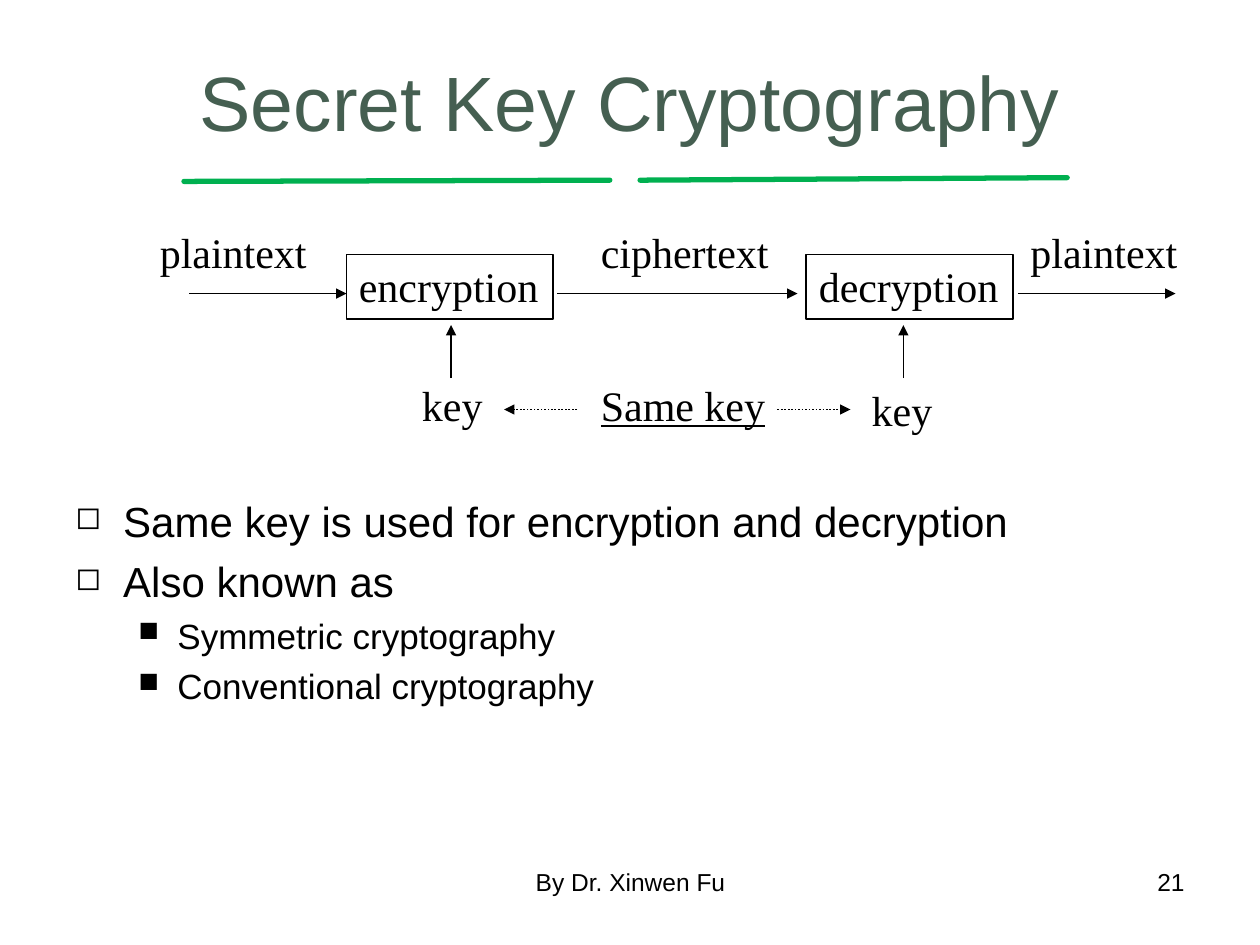
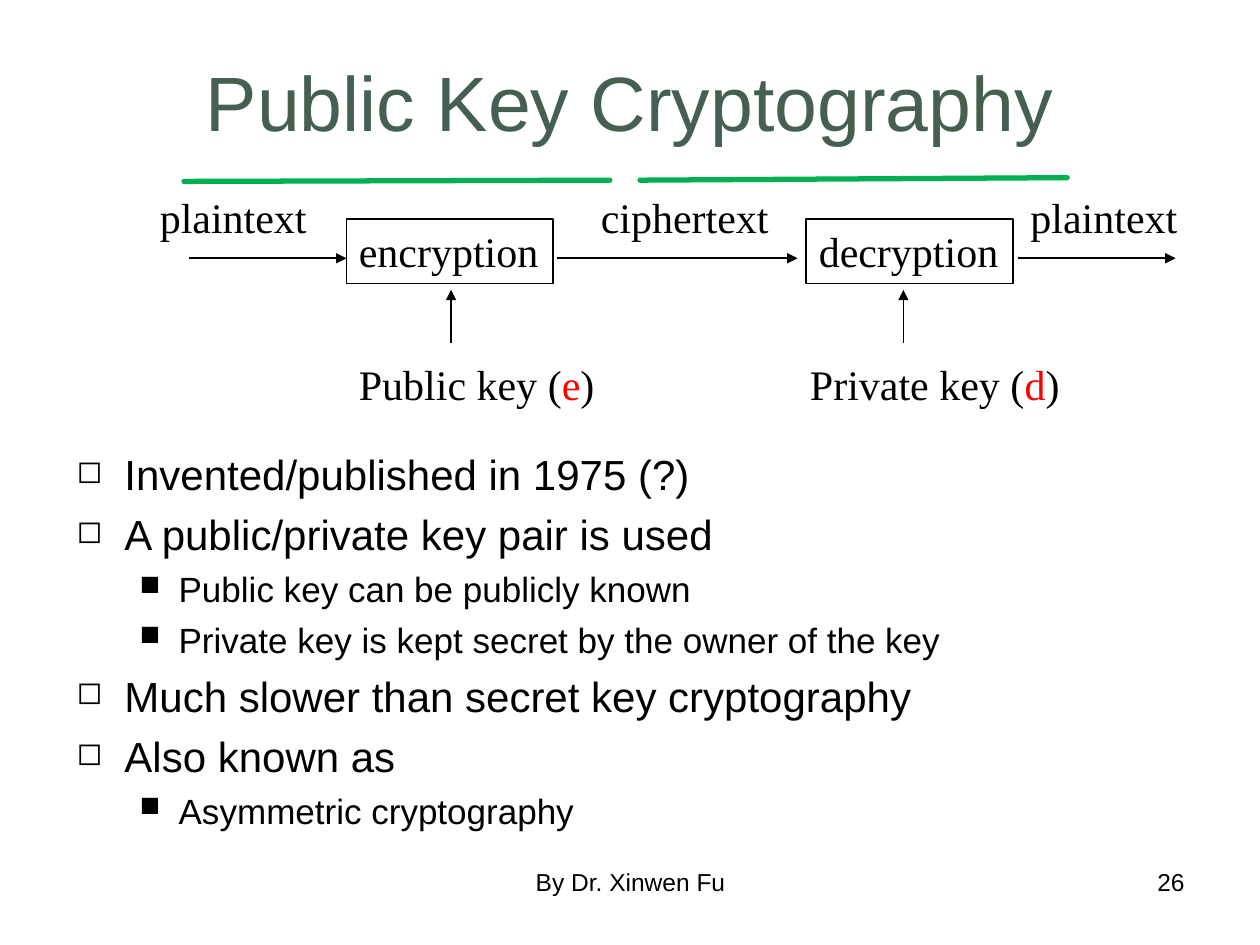
import pptx
import pptx.util
import pptx.dml.color
import pptx.enum.dml
import pptx.enum.shapes
import pptx.enum.text
import pptx.oxml
import pptx.oxml.ns

Inches = pptx.util.Inches
Pt = pptx.util.Pt
RGBColor = pptx.dml.color.RGBColor
ALIGN = pptx.enum.text.PP_ALIGN
ANCHOR = pptx.enum.text.MSO_ANCHOR
AUTO_SIZE = pptx.enum.text.MSO_AUTO_SIZE
SHAPE = pptx.enum.shapes.MSO_SHAPE
DASH = pptx.enum.dml.MSO_LINE
qn = pptx.oxml.ns.qn

BLACK = RGBColor(0x00, 0x00, 0x00)
RED = RGBColor(0xFF, 0x00, 0x00)
GREEN = RGBColor(0x00, 0xB0, 0x50)
TITLE_GREEN = RGBColor(0x45, 0x5F, 0x51)
SANS, SERIF = "Arial", "Times New Roman"

FOOTER = "By Dr. Xinwen Fu"
RULES = [(1.46, 1.44, 4.84, 1.43), (5.08, 1.43, 8.47, 1.41)]
LABELS = [("plaintext", 1.17, 1.37), ("ciphertext", 4.67, 1.53), ("plaintext", 8.08, 1.37)]
BOXES = [("encryption", 2.75), ("decryption", 6.4)]
FLOWS = [(1.5, 2.75), (4.42, 6.33), (8.08, 9.33)]
KEY_ARROWS = [3.58, 7.17]
BULLETS = [
    dict(char="◻", size=24, scale=75, left=0.38, hang=0.38),
    dict(char="■", size=20, scale=80, left=0.81, hang=0.31),
]

SLIDES = [
    dict(
        title="Secret Key Cryptography", number="21", top=1.75,
        keys=[
            (["key"], 3.25, 2.96, 0.68, False),
            (["key"], 6.82, 3.0, 0.68, False),
            (["Same key"], 4.67, 2.96, 1.51, True),
        ],
        same_key_arrows=[(4.58, 4.0), (6.17, 6.75)],
        body=(0.5, 3.88, 9, 2.82),
        points=[
            (0, "Same key is used for encryption and decryption"),
            (0, "Also known as"),
            (1, "Symmetric cryptography"),
            (1, "Conventional cryptography"),
        ],
    ),
    dict(
        title="Public Key Cryptography", number="26", top=1.47,
        keys=[
            (["Public key (", ("e", RED), ")"], 2.75, 2.8, 2.07, False),
            (["Private key (", ("d", RED), ")"], 6.33, 2.8, 2.18, False),
        ],
        same_key_arrows=[],
        body=(0.51, 3.51, 9, 3.23),
        points=[
            (0, "Invented/published in 1975 (?)"),
            (0, "A public/private key pair is used"),
            (1, "Public key can be publicly known"),
            (1, "Private key is kept secret by the owner of the key"),
            (0, "Much slower than secret key cryptography"),
            (0, "Also known as"),
            (1, "Asymmetric cryptography"),
        ],
    ),
]


def write(p, text, size=24, font=SERIF, color=BLACK, align=ALIGN.LEFT, underline=None):
    p.alignment = align
    for piece in [text] if isinstance(text, str) else text:
        words, tint = (piece, color) if isinstance(piece, str) else piece
        r = p.add_run()
        r.text = words
        r.font.size = Pt(size)
        r.font.name = font
        r.font.color.rgb = tint
        if underline:
            r.font.underline = True


def fit(sp):
    sp.text_frame.word_wrap = False
    sp.text_frame.auto_size = AUTO_SIZE.SHAPE_TO_FIT_TEXT


def add_textbox(s, at):
    sp = s.shapes.add_textbox(*map(Inches, at))
    sp.text_frame.word_wrap = True
    return sp


def add_label(s, text, at, **style):
    sp = add_textbox(s, at)
    fit(sp)
    write(sp.text_frame.paragraphs[0], text, **style)


def add_box(s, text, at):
    sp = s.shapes.add_shape(SHAPE.RECTANGLE, *map(Inches, at))
    sp.shadow.inherit = False
    sp.fill.background()
    sp.line.color.rgb = BLACK
    sp.line.width = Pt(1)
    sp.text_frame.vertical_anchor = ANCHOR.TOP
    fit(sp)
    write(sp.text_frame.paragraphs[0], text)


def add_line(s, ends, color=BLACK, width=1, dash=None, arrow=True):
    sp = s.shapes.add_connector(pptx.enum.shapes.MSO_CONNECTOR.STRAIGHT, *map(Inches, ends))
    sp.line.color.rgb = color
    sp.line.width = Pt(width)
    if dash:
        sp.line.dash_style = dash
    ln = sp.line._get_or_add_ln()
    if arrow:
        ln.append(pptx.oxml.parse_xml(
            '<a:tailEnd %s type="triangle"/>' % pptx.oxml.ns.nsdecls("a")))
    else:
        ln.set("cap", "rnd")
    sp._element.spPr.append(pptx.oxml.parse_xml(
        "<a:effectLst %s/>" % pptx.oxml.ns.nsdecls("a")))


def add_points(s, points, at):
    tf = add_textbox(s, at).text_frame
    for i, (level, text) in enumerate(points):
        bullet = BULLETS[level]
        p = tf.add_paragraph() if i else tf.paragraphs[0]
        p.level = level
        p.space_before = Pt(bullet["size"] * 0.24)
        write(p, text, size=bullet["size"], font=SANS)
        pPr = p._p.get_or_add_pPr()
        pPr.set("marL", str(Inches(bullet["left"])))
        pPr.set("indent", str(-Inches(bullet["hang"])))
        scale = pPr.makeelement(qn("a:buSzPct"), {"val": str(bullet["scale"] * 1000)})
        char = pPr.makeelement(qn("a:buChar"), {"char": bullet["char"]})
        pPr.extend([scale, char])


def add_frame(s, title, number):
    for ends in RULES:
        add_line(s, ends, color=GREEN, width=3, arrow=False)
    sp = s.shapes.title
    sp.left, sp.top, sp.width, sp.height = map(Inches, (0.5, 0.21, 9, 1.18))
    sp.text_frame.vertical_anchor = ANCHOR.MIDDLE
    write(sp.text_frame.paragraphs[0], title, size=44, font=SANS,
          color=TITLE_GREEN, align=ALIGN.CENTER)
    for text, left, width, align in [(FOOTER, 3.42, 3.17, ALIGN.CENTER),
                                     (number, 7.17, 2.33, ALIGN.RIGHT)]:
        sp = add_textbox(s, (left, 6.83, width, 0.52))
        write(sp.text_frame.paragraphs[0], text, size=14, font=SANS, align=align)


def add_diagram(s, top, keys, same_key_arrows):
    for text, left, width in LABELS:
        add_label(s, text, (left, top, width, 0.5))
    for text, left in BOXES:
        add_box(s, text, (left, top + 0.27, 1.64, 0.51))
    for start, end in FLOWS:
        add_line(s, (start, top + 0.58, end, top + 0.58))
    for x in KEY_ARROWS:
        add_line(s, (x, top + 1.25, x, top + 0.83))
    for text, left, y, width, underline in keys:
        add_label(s, text, (left, y, width, 0.5), underline=underline)
    for start, end in same_key_arrows:
        add_line(s, (start, 3.25, end, 3.25), dash=DASH.ROUND_DOT)


def main():
    prs = pptx.Presentation()
    prs.slide_width, prs.slide_height = Inches(10), Inches(7.5)
    for page in SLIDES:
        s = prs.slides.add_slide(prs.slide_layouts[5])
        add_frame(s, page["title"], page["number"])
        add_points(s, page["points"], page["body"])
        add_diagram(s, page["top"], page["keys"], page["same_key_arrows"])
    prs.save("out.pptx")


if __name__ == "__main__":
    main()
